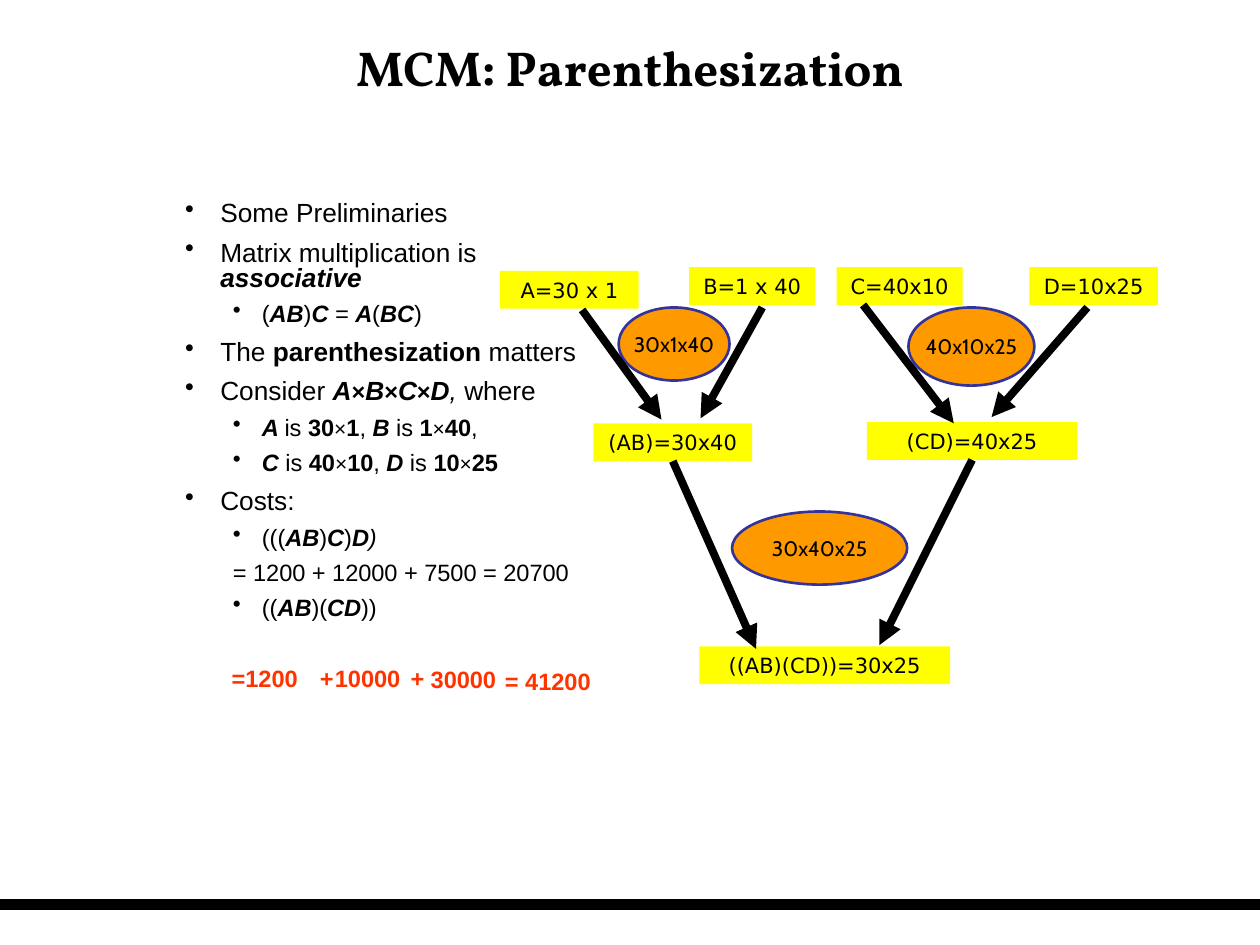
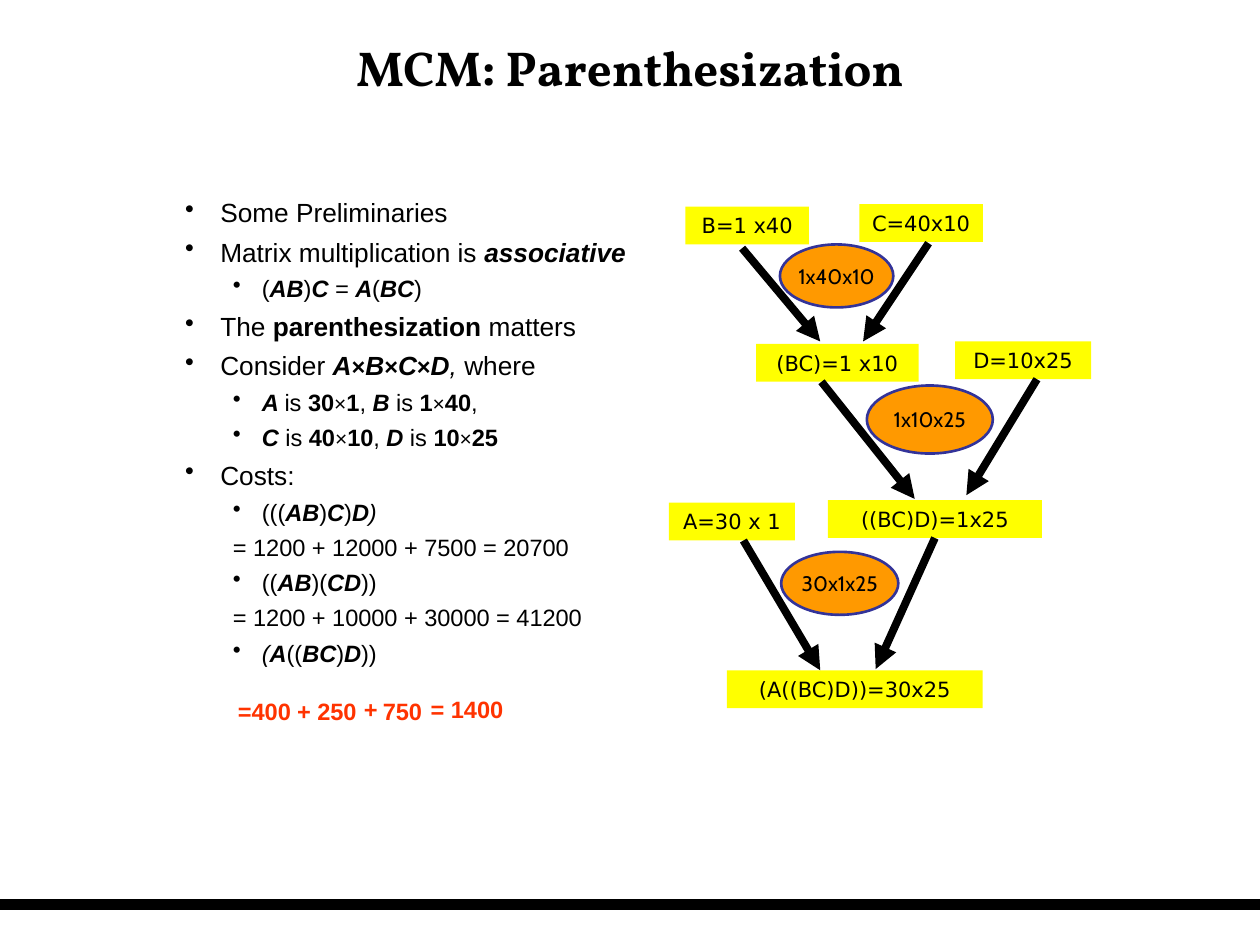
from lxml import etree
from pptx import Presentation
from pptx.dml.color import RGBColor
from pptx.enum.shapes import MSO_CONNECTOR, MSO_SHAPE
from pptx.enum.text import MSO_ANCHOR, PP_ALIGN
from pptx.oxml.ns import qn
from pptx.util import Inches, Pt

BLACK = RGBColor(0x00, 0x00, 0x00)
YELLOW = RGBColor(0xFF, 0xFF, 0x00)
ORANGE = RGBColor(0xFF, 0x99, 0x00)
INDIGO = RGBColor(0x33, 0x33, 0x99)
RED = RGBColor(0xFF, 0x33, 0x00)

STRAIGHT = MSO_CONNECTOR.STRAIGHT
RECT, OVAL = MSO_SHAPE.RECTANGLE, MSO_SHAPE.OVAL
TOP, MIDDLE = MSO_ANCHOR.TOP, MSO_ANCHOR.MIDDLE
LEFT, CENTER = PP_ALIGN.LEFT, PP_ALIGN.CENTER
BOTTOM_SITE = 2
TITLE_ONLY = 5
BOX_HEIGHT = 0.3
TERM_HEIGHT = 0.33

TITLE_FONT = {"name": "Vollkorn", "size": Pt(28), "bold": True}
BOX_FONT = {"name": "DejaVu Sans", "size": Pt(12)}
COST_FONT = {"name": "Cabin", "size": Pt(12)}
TERM_FONT = {"name": "Arial", "size": Pt(13.5), "bold": True}

LEVEL_SIZES = (15, 13.5)
LEVEL_INDENTS = ((0.28, -0.28), (0.61, -0.23))
SMALLER = 1.5
STYLE_MARKS = {"*": "bold", "/": "italic", "~": "small"}

PRELIMINARIES = [
    (0, "•", "Some Preliminaries"),
    (0, "•", "Matrix multiplication is */associative"),
    (1, "•", "(*/AB/*)*/C* = *A/*(*/BC/*)"),
    (0, "•", "The *parenthesization* matters"),
    (0, "•", "Consider */A/~×~/B/~×~/C/~×~/D*, /where"),
    (1, "•", "*/A /*is *30*~×~*1*, */B /*is *1*~×~*40*,"),
    (1, "•", "*/C /*is *40*~×~*10*, */D /*is *10*~×~*25"),
    (0, "•", "Costs:"),
    (1, "•", "(((*/AB/*)*/C/*)*/D*)"),
    (1, "", "= 1200 + 12000 + 7500 = 20700"),
    (1, "•", "((*/AB/*)(*/CD/*))"),
]
LAST_COSTS = [
    (1, "", "= 1200 + 10000 + 30000 = 41200"),
    (1, "•", "/(*A/*((*/BC/*)*/D/*))"),
]

SLIDES = [
    {
        "body": (3.69, 3.56, PRELIMINARIES),
        "boxes": [
            ("A=30 x 1", 3.97, 2.15, 1.1),
            ("B=1 x 40", 5.47, 2.12, 1),
            ("C=40x10", 6.64, 2.12, 1),
            ("D=10x25", 8.17, 2.12, 1.02),
            ("(AB)=30x40", 4.71, 3.36, 1.26),
            ("(CD)=40x25", 6.88, 3.35, 1.67),
            ("((AB)(CD))=30x25", 5.55, 5.13, 1.99),
        ],
        "costs": [
            ("30x1x40", 4.91, 2.44, 0.88, 0.58),
            ("40x10x25", 7.21, 2.44, 1, 0.62),
            ("30x40x25", 5.81, 4.06, 1.39, 0.58),
        ],
        "arrows": [
            ((4.62, 2.46), (5.25, 3.33)),
            ((6.05, 2.44), (5.56, 3.32)),
            ((6.85, 2.42), (7.57, 3.36)),
            ((8.63, 2.44), (7.87, 3.31)),
            ("(AB)=30x40", (6, 5.15)),
            ("(CD)=40x25", (6.98, 5.12)),
        ],
        "terms": [
            ("=1200", 1.74, 5.22, 0.79),
            ("+", 2.44, 5.22, 0.25),
            ("10000", 2.56, 5.22, 0.77),
            ("+", 3.16, 5.22, 0.25),
            ("30000", 3.32, 5.23, 0.79),
            ("= 41200", 3.91, 5.24, 1),
        ],
    },
    {
        "body": (3.75, 4.66, PRELIMINARIES + LAST_COSTS),
        "boxes": [
            ("B=1 x40", 5.44, 1.64, 0.98),
            ("C=40x10", 6.82, 1.62, 0.98),
            ("(BC)=1 x10", 6, 2.73, 1.29),
            ("D=10x25", 7.58, 2.71, 1.08),
            ("A=30 x 1", 5.31, 3.99, 1),
            ("((BC)D)=1x25", 6.57, 3.97, 1.7),
            ("(A((BC)D))=30x25", 5.77, 5.32, 2.03),
        ],
        "costs": [
            ("1x40x10", 6.19, 1.94, 0.9, 0.5),
            ("1x10x25", 6.88, 3.06, 1, 0.54),
            ("30x1x25", 6.2, 4.38, 0.93, 0.5),
        ],
        "arrows": [
            ((5.89, 1.97), (6.51, 2.71)),
            ((7.37, 1.93), (6.85, 2.71)),
            ((6.52, 3.03), (7.26, 3.96)),
            ((8.23, 3.01), (7.67, 3.93)),
            ((5.9, 4.29), (6.51, 5.32)),
            ("((BC)D)=1x25", (6.95, 5.31)),
        ],
        "terms": [
            ("=400", 1.79, 5.48, 0.69),
            ("+", 2.26, 5.48, 0.25),
            ("250", 2.42, 5.48, 0.69),
            ("+", 2.79, 5.47, 0.25),
            ("750", 2.94, 5.48, 0.69),
            ("= 1400", 3.32, 5.47, 1),
        ],
    },
]


def set_attrs(obj, values):
    for name, value in values.items():
        setattr(obj, name, value)


def set_text(sp, text, font, color=BLACK, align=CENTER, anchor=MIDDLE, wrap=True):
    tf = sp.text_frame
    set_attrs(tf, {"text": text, "word_wrap": wrap, "vertical_anchor": anchor})
    p = tf.paragraphs[0]
    p.alignment = align
    r = p.runs[0]
    set_attrs(r.font, font)
    r.font.color.rgb = color


def add_line(slide, start, end, width):
    line = slide.shapes.add_connector(STRAIGHT, *map(Inches, (*start, *end)))
    line.line.color.rgb = BLACK
    line.line.width = Pt(width)
    etree.SubElement(line._element.spPr, qn("a:effectLst"))
    return line


def add_arrow(slide, start, end, boxes):
    joined = start in boxes
    arrow = add_line(slide, (0, 0) if joined else start, end, 4.5)
    if joined:
        arrow.begin_connect(boxes[start], BOTTOM_SITE)
    etree.SubElement(arrow.line._get_or_add_ln(), qn("a:tailEnd"), type="triangle")


def add_filled(slide, kind, place, fill):
    sp = slide.shapes.add_shape(kind, *map(Inches, place))
    sp.shadow.inherit = False
    sp.fill.solid()
    sp.fill.fore_color.rgb = fill
    return sp


def add_matrix_box(slide, text, x, y, width):
    sp = add_filled(slide, RECT, (x, y, width, BOX_HEIGHT), YELLOW)
    sp.line.fill.background()
    set_text(sp, text, BOX_FONT, anchor=TOP)
    return sp


def add_cost_oval(slide, text, *place):
    sp = add_filled(slide, OVAL, place, ORANGE)
    sp.line.color.rgb = INDIGO
    sp.line.width = Pt(1.5)
    set_text(sp, text, COST_FONT, wrap=False)


def add_cost_term(slide, text, x, y, width):
    sp = slide.shapes.add_textbox(*map(Inches, (x, y, width, TERM_HEIGHT)))
    set_text(sp, text, TERM_FONT, RED, LEFT, TOP)


def split_styles(markup):
    style = {"bold": False, "italic": False, "small": False}
    pieces = []
    for char in markup:
        if char in STYLE_MARKS:
            name = STYLE_MARKS[char]
            style = {**style, name: not style[name]}
        elif pieces and pieces[-1][1] == style:
            pieces[-1][0] += char
        else:
            pieces.append([char, style])
    return pieces


def format_outline(p, level, bullet, is_first):
    pPr = p._p.get_or_add_pPr()
    for name, length in zip(("marL", "indent"), LEVEL_INDENTS[level]):
        pPr.set(name, str(Inches(length)))
    if bullet:
        etree.SubElement(pPr, qn("a:buChar"), char=bullet)
    space = 0 if is_first else round(LEVEL_SIZES[level] * 0.53, 1)
    set_attrs(p, {"level": level, "line_spacing": 0.8, "space_before": Pt(space)})


def add_outline(slide, width, height, items):
    sp = slide.shapes.add_textbox(*map(Inches, (1.37, 1.56, width, height)))
    tf = sp.text_frame
    tf.word_wrap = True
    for i, (level, bullet, markup) in enumerate(items):
        p = tf.add_paragraph() if i else tf.paragraphs[0]
        format_outline(p, level, bullet, i == 0)
        for text, style in split_styles(markup):
            r = p.add_run()
            r.text = text
            size = LEVEL_SIZES[level] - SMALLER * style["small"]
            set_attrs(r.font, {"name": "Arial", "size": Pt(size),
                               "bold": style["bold"], "italic": style["italic"]})
            r.font.color.rgb = BLACK


def add_slide(prs, title):
    slide = prs.slides.add_slide(prs.slide_layouts[TITLE_ONLY])
    add_line(slide, (0, 7.18), (10, 7.18), 6)
    sp = slide.shapes.title
    set_attrs(sp, {"left": Inches(0.05), "top": Inches(0.07),
                   "width": Inches(9.9), "height": Inches(0.92)})
    set_text(sp, title, TITLE_FONT)
    return slide


def main():
    prs = Presentation()
    set_attrs(prs, {"slide_width": Inches(10), "slide_height": Inches(7.5)})
    for content in SLIDES:
        slide = add_slide(prs, "MCM: Parenthesization")
        add_outline(slide, *content["body"])
        boxes = {box[0]: add_matrix_box(slide, *box) for box in content["boxes"]}
        for cost in content["costs"]:
            add_cost_oval(slide, *cost)
        for start, end in content["arrows"]:
            add_arrow(slide, start, end, boxes)
        for term in content["terms"]:
            add_cost_term(slide, *term)
    prs.save("out.pptx")


if __name__ == "__main__":
    main()
